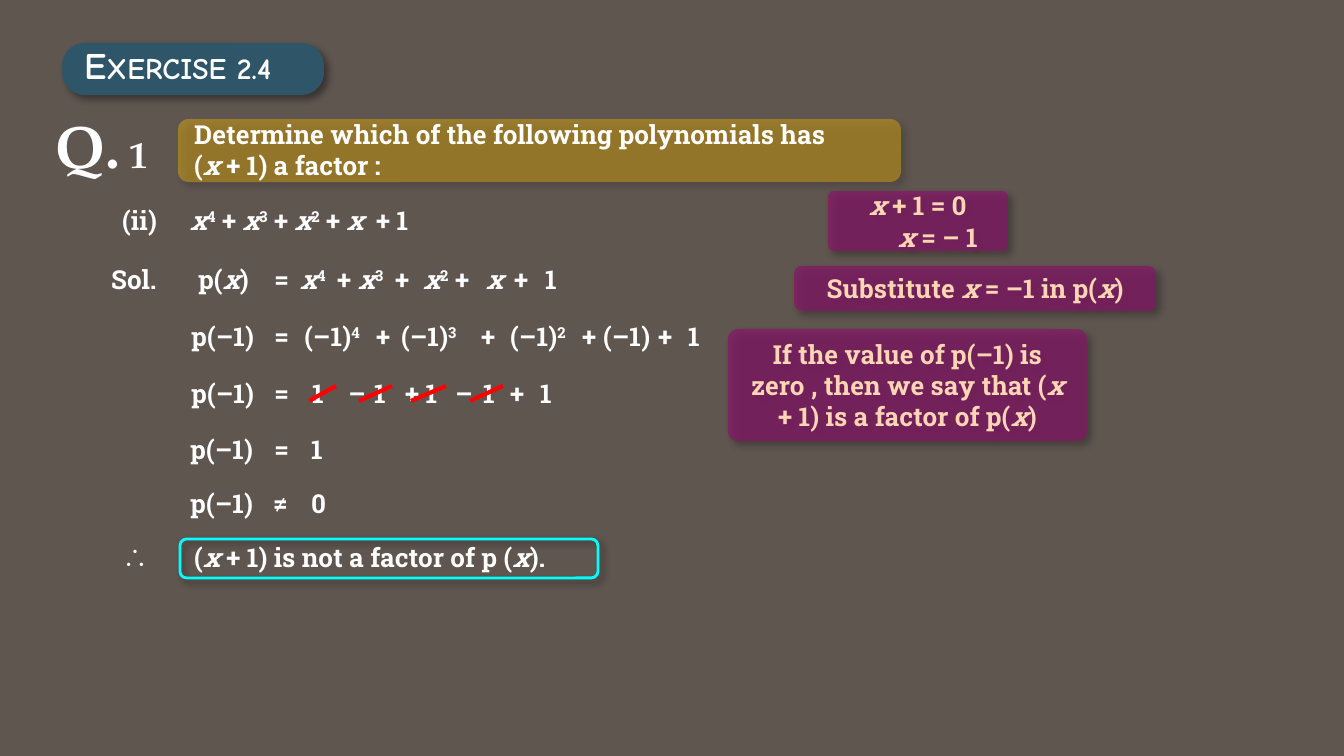
from dataclasses import dataclass

from lxml import etree
from pptx import Presentation
from pptx.dml.color import RGBColor
from pptx.enum.shapes import MSO_CONNECTOR, MSO_SHAPE
from pptx.enum.text import MSO_ANCHOR, MSO_AUTO_SIZE, PP_ALIGN
from pptx.oxml.ns import qn
from pptx.util import Pt

RECTANGLE = MSO_SHAPE.RECTANGLE
ROUNDED = MSO_SHAPE.ROUNDED_RECTANGLE
STRAIGHT = MSO_CONNECTOR.STRAIGHT
MIDDLE = MSO_ANCHOR.MIDDLE
GROW = MSO_AUTO_SIZE.SHAPE_TO_FIT_TEXT
CENTER = PP_ALIGN.CENTER

EMU_PER_PX = 914400 / 134.4
LINE_HEIGHT = 46


@dataclass(frozen=True)
class Theme:
    """Colours, fonts and type sizes of the slide."""
    ground: str = "605650"
    text: str = "FFFFFF"
    banner: str = "2E5668"
    question: str = "FFC000"
    hint: str = "89156B"
    hint_text: str = "FCD5B5"
    answer: str = "00FFFF"
    strike: str = "FF0000"
    shadow: str = "000000"
    body_font: str = "Roboto Slab"
    banner_font: str = "Comic Neue"
    number_font: str = "TeX Gyre Pagella"
    symbol_font: str = "Arial"
    body: int = 14
    medium: int = 16
    large: int = 20
    huge: int = 32


THEME = Theme()

TERM_WIDTHS = {
    "+": 43, "=": 43, "≠": 43, "–": 40, "1": 44, "0": 44, "+ 1": 70,
    "p(*x*)": 78, "p(–1)": 97, "(–1)": 75,
    "(–1)^4^": 86, "(–1)^3^": 91, "(–1)^2^": 86,
    "*x*": 43, "*x*^4^": 59, "*x*^3^": 59, "*x*^2^": 55,
    "(ii)": 62, "Sol.": 79, "*x*^4^ + *x*^3^ + *x*^2^ + *x*": 202,
}

SOLUTION_ROWS = [
    (198, [(109, "(ii)"), (177, "*x*^4^ + *x*^3^ + *x*^2^ + *x*"), (363, "+ 1")]),
    (257, [(98, "Sol."), (185, "p(*x*)"), (261, "="), (287, "*x*^4^"), (324, "+"),
           (345, "*x*^3^"), (382, "+"), (410, "*x*^2^"), (442, "+"),
           (473, "*x*"), (501, "+"), (532, "1")]),
    (314, [(178, "p(–1)"), (261, "="), (291, "(–1)^4^"), (363, "+"),
           (388, "(–1)^3^"), (468, "+"), (497, "(–1)^2^"), (569, "+"),
           (590, "(–1)"), (645, "+"), (675, "1")]),
    (371, [(178, "p(–1)"), (261, "="), (299, "1"), (335, "–"), (361, "1"),
           (392, "+ 1"), (442, "–"), (470, "1"), (497, "+"), (527, "1")]),
    (427, [(177, "p(–1)"), (261, "="), (298, "1")]),
    (481, [(177, "p(–1)"), (260, "≠"), (298, "0")]),
]

STRIKES = [(336, 309), (392, 359), (446, 411), (503, 470)]

HINTS = [
    ((828, 191, 180, 60), 0.09, ["*x* + 1 = 0", "*x* = – 1"], 40),
    ((794, 266, 362, 45), 0.17, ["Substitute *x* = –1 in p(*x*)"], 0),
    ((728, 329, 359, 112), 0.09,
     ["If the value of p(–1) is zero , then we say that (*x* + 1) is a factor of p(*x*)"], 0),
]


def px(length):
    """Turn pixels into EMU."""
    return round(length * EMU_PER_PX)


def rgb(color):
    """Turn a hex string into a colour."""
    return RGBColor.from_string(color)


def format_run(run, size, color=THEME.text, font=THEME.body_font):
    """Apply the bold face shared by all text."""
    run.font.name = font
    run.font.size = Pt(size)
    run.font.bold = True
    run.font.color.rgb = rgb(color)


def write_math(paragraph, markup, color=THEME.text, font=THEME.body_font):
    """Write text in which *x* is italic and ^2^ is raised."""
    for i, part in enumerate(markup.split("*")):
        for j, piece in enumerate(part.split("^")):
            if piece:
                run = paragraph.add_run()
                run.text = piece
                format_run(run, THEME.body, color, font)
                run.font.italic = i % 2 == 1
                if j % 2:
                    run.font._element.set("baseline", "30000")


def add_text_frame(slide, box):
    """Add a growing text box and return its frame."""
    frame = slide.shapes.add_textbox(*map(px, box)).text_frame
    frame.word_wrap = False
    frame.auto_size = GROW
    return frame


def add_line_of_math(slide, left, top, width, markup, font=THEME.body_font):
    """Add one line of marked-up text."""
    frame = add_text_frame(slide, (left, top, width, LINE_HEIGHT))
    write_math(frame.paragraphs[0], markup, font=font)


def add_heading(slide, box, pieces, font):
    """Add a heading made of (text, size) pieces."""
    paragraph = add_text_frame(slide, box).paragraphs[0]
    for text, size in pieces:
        run = paragraph.add_run()
        run.text = text
        format_run(run, size, font=font)


def add_shadow(shape):
    """Add a soft shadow to the lower right."""
    effects = shape._element.spPr.find(qn("a:effectLst"))
    shadow = etree.SubElement(effects, qn("a:outerShdw"), blurRad="50800",
                              dist="38100", dir="2700000", algn="tl", rotWithShape="0")
    color = etree.SubElement(shadow, qn("a:srgbClr"), val=THEME.shadow)
    etree.SubElement(color, qn("a:alpha"), val="40000")


def add_panel(slide, box, fill=None, opacity=100, line=None, corner=0.17, kind=ROUNDED):
    """Add a panel, with a shadow when it is rounded."""
    panel = slide.shapes.add_shape(kind, *map(px, box))
    panel.shadow.inherit = False
    if fill:
        panel.fill.solid()
        panel.fill.fore_color.rgb = rgb(fill)
        color = panel._element.spPr.find(qn("a:solidFill"))[0]
        if opacity < 100:
            etree.SubElement(color, qn("a:alpha"), val=str(opacity * 1000))
    else:
        panel.fill.background()
    if line:
        panel.line.color.rgb = rgb(line)
        panel.line.width = Pt(1.5)
    else:
        panel.line.fill.background()
    if kind == ROUNDED:
        panel.adjustments[0] = corner
        add_shadow(panel)
    return panel


def add_hint(slide, box, corner, lines, last_indent):
    """Add a hint panel with centred lines."""
    frame = add_panel(slide, box, THEME.hint, 69, corner=corner).text_frame
    frame.word_wrap = True
    frame.vertical_anchor = MIDDLE
    for i, markup in enumerate(lines):
        paragraph = frame.add_paragraph() if i else frame.paragraphs[0]
        paragraph.alignment = CENTER
        write_math(paragraph, markup, THEME.hint_text)
    if last_indent:
        paragraph._p.get_or_add_pPr().set("marL", str(px(last_indent)))


def add_strike(slide, right, left):
    """Add a slanted stroke through a cancelled term."""
    stroke = slide.shapes.add_connector(STRAIGHT, px(right), px(386), px(left), px(401))
    stroke.line.color.rgb = rgb(THEME.strike)
    stroke.line.width = Pt(2.25)
    etree.SubElement(stroke._element.spPr, qn("a:effectLst"))


def main():
    """Build the slide and save it."""
    deck = Presentation()
    deck.slide_width, deck.slide_height = px(1344), px(756)
    slide = deck.slides.add_slide(deck.slide_layouts[6])

    add_panel(slide, (0, 0, 1344, 756), THEME.ground, kind=RECTANGLE)
    add_heading(slide, (42, 102, 144, 86),
                [("Q.", THEME.huge), (" 1", THEME.large)], THEME.number_font)
    add_panel(slide, (178, 119, 723, 63), THEME.question, 38)
    add_line_of_math(slide, 181, 112, 727,
                     "Determine which of the following polynomials has")
    add_line_of_math(slide, 181, 143, 258, "(*x* + 1) a factor :")

    for top, terms in SOLUTION_ROWS:
        for left, markup in terms:
            add_line_of_math(slide, left, top, TERM_WIDTHS[markup], markup)
    for hint in HINTS:
        add_hint(slide, *hint)
    for right, left in STRIKES:
        add_strike(slide, right, left)

    add_panel(slide, (180, 539, 418, 39), line=THEME.answer)
    add_line_of_math(slide, 109, 534, 50, "∴", THEME.symbol_font)
    add_line_of_math(slide, 181, 535, 426, "(*x* + 1) is not a factor of p (*x*).")
    add_panel(slide, (62, 43, 262, 52), THEME.banner, corner=0.44)
    add_heading(slide, (71, 36, 249, 59),
                [("E", THEME.large), ("XERCISE 2.4", THEME.medium)], THEME.banner_font)
    deck.save("out.pptx")


if __name__ == "__main__":
    main()
